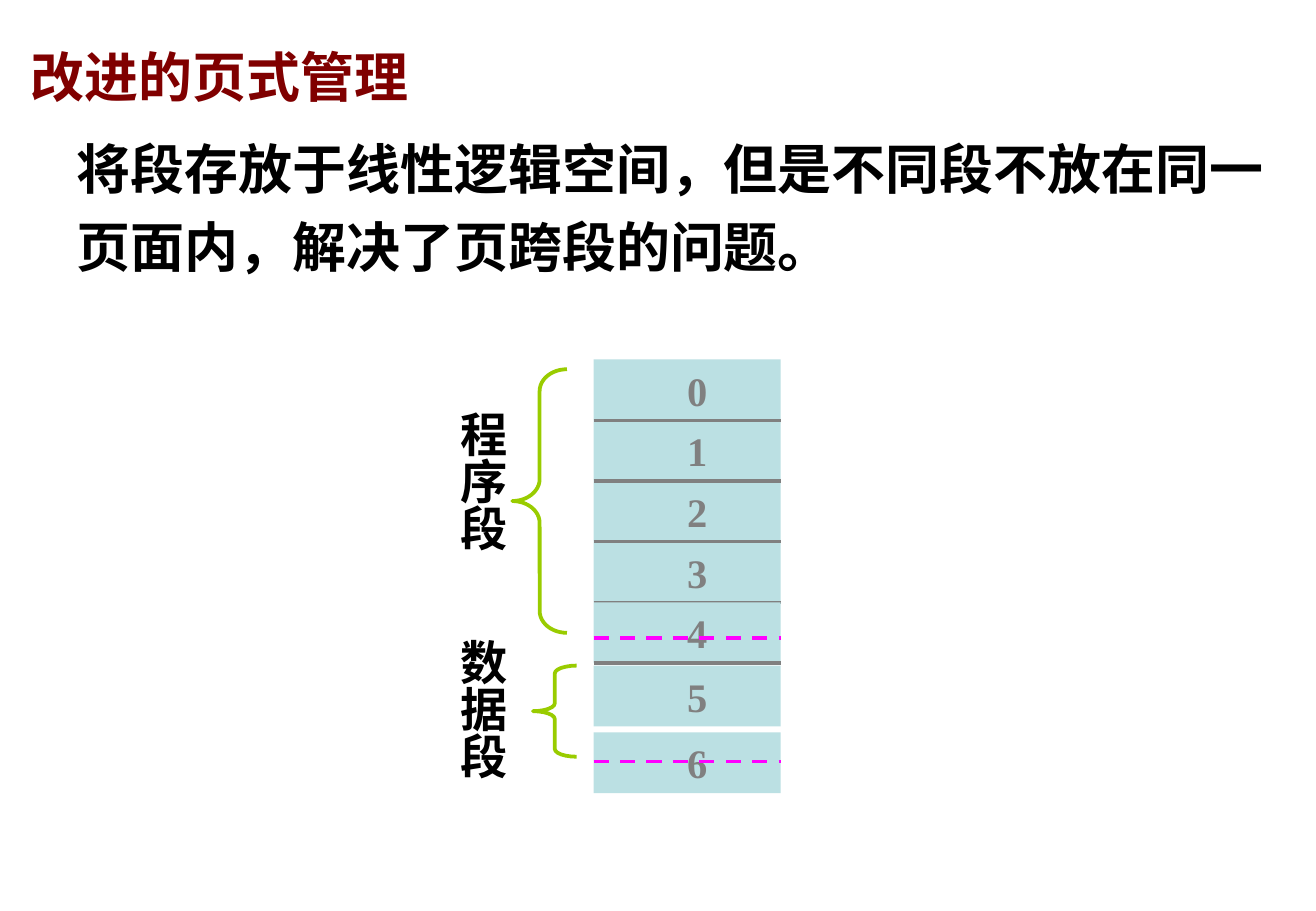
"""Build a slide on improved paging: segments kept on separate pages."""
import pptx
import pptx.util
import pptx.dml.color
import pptx.enum.dml
import pptx.enum.shapes
import pptx.enum.text
from lxml import etree
from pptx.oxml.ns import qn

Inches = pptx.util.Inches
Pt = pptx.util.Pt
RGBColor = pptx.dml.color.RGBColor
MSO_SHAPE = pptx.enum.shapes.MSO_SHAPE
MSO_ANCHOR = pptx.enum.text.MSO_ANCHOR

MAROON = RGBColor(0x80, 0x00, 0x00)
BLACK = RGBColor(0x00, 0x00, 0x00)
GRAY = RGBColor(0x80, 0x80, 0x80)
PALE_TEAL = RGBColor(0xBB, 0xE0, 0xE3)
MAGENTA = RGBColor(0xFF, 0x00, 0xFF)
GREEN = RGBColor(0x99, 0xCC, 0x00)
CHINESE_FONT = "Noto Sans CJK SC"
LATIN_FONT = "Times New Roman"

PAGE_LEFT, PAGE_TOP = 4.89, 2.96
PAGE_WIDTH, PAGE_HEIGHT = 1.54, 0.5
PAGE_TOPS = [PAGE_TOP + row * PAGE_HEIGHT for row in range(5)] + [5.48, 6.03]

presentation = pptx.Presentation()
presentation.slide_width = Inches(10.84)
presentation.slide_height = Inches(7.5)
slide = presentation.slides.add_slide(presentation.slide_layouts[5])
shapes = slide.shapes


def write_text(shape, text, size, color, font_name):
    """Fill a shape with one bold, left-aligned paragraph and return it."""
    frame = shape.text_frame
    frame.text = text
    frame.auto_size = pptx.enum.text.MSO_AUTO_SIZE.NONE
    paragraph = frame.paragraphs[0]
    paragraph.alignment = pptx.enum.text.PP_ALIGN.LEFT
    paragraph.font.size = Pt(size)
    paragraph.font.bold = True
    paragraph.font.color.rgb = color
    paragraph.font.name = font_name
    east_asian = etree.SubElement(paragraph.font._element, qn("a:ea"))
    east_asian.set("typeface", CHINESE_FONT)
    return paragraph


def add_line(top, color, width, dash=None):
    """Draw a horizontal line across the column of pages."""
    line = shapes.add_connector(
        pptx.enum.shapes.MSO_CONNECTOR.STRAIGHT,
        Inches(PAGE_LEFT), Inches(top), Inches(PAGE_LEFT + PAGE_WIDTH), Inches(top))
    line.line.color.rgb = color
    line.line.width = Pt(width)
    line.line.dash_style = dash
    etree.SubElement(line._element.spPr, qn("a:effectLst"))


title = shapes.title
body = shapes.add_textbox(0, 0, 0, 0)
for shape, left, top, height, color, text in [
    (title, 0.15, 0.25, 0.7, MAROON, "改进的页式管理"),
    (body, 0.53, 1, 1.4, BLACK,
     "将段存放于线性逻辑空间，但是不同段不放在同一页面内，解决了页跨段的问题。"),
]:
    shape.left, shape.top = Inches(left), Inches(top)
    shape.width, shape.height = Inches(10.61 - left), Inches(height)
    paragraph = write_text(shape, text, 32, color, CHINESE_FONT)
    paragraph.line_spacing = Pt(46.5)
    frame = shape.text_frame
    frame.word_wrap = True
    frame.vertical_anchor = MSO_ANCHOR.TOP
    frame.margin_top = frame.margin_bottom = 0

for number, top in enumerate(PAGE_TOPS):
    if number == 4:
        add_line(top, GRAY, 2)
    page = shapes.add_shape(MSO_SHAPE.RECTANGLE, Inches(PAGE_LEFT), Inches(top),
                            Inches(PAGE_WIDTH), Inches(PAGE_HEIGHT))
    page.shadow.inherit = False
    page.fill.solid()
    page.fill.fore_color.rgb = PALE_TEAL
    page.line.fill.background()
    write_text(page, str(number), 24, GRAY, LATIN_FONT)
    page.text_frame.margin_left = Inches(0.77)
    page.text_frame.vertical_anchor = MSO_ANCHOR.MIDDLE
    if number in (1, 2, 3):
        add_line(top, GRAY, 2)
add_line(PAGE_TOP + 5 * PAGE_HEIGHT, GRAY, 2)

for segment_end in (5.25, 6.27):
    add_line(segment_end, MAGENTA, 2.25, pptx.enum.dml.MSO_LINE.DASH)

for left, top, width, height, curve in [
    (4.22, 3.04, 0.45, 2.17, 0.4),
    (4.39, 5.48, 0.36, 0.75, 0.18),
]:
    brace = shapes.add_shape(MSO_SHAPE.LEFT_BRACE, Inches(left), Inches(top),
                             Inches(width), Inches(height))
    brace.shadow.inherit = False
    brace.fill.background()
    brace.line.color.rgb = GREEN
    brace.line.width = Pt(2.25)
    brace.adjustments[0] = curve

for top, segment in [(3.28, "程序段"), (5.16, "数据段")]:
    label = shapes.add_textbox(Inches(3.6), Inches(top), Inches(0.66), Inches(1.27))
    write_text(label, segment, 28, BLACK, LATIN_FONT)
    frame = label.text_frame
    frame.word_wrap = False
    frame.margin_left = frame.margin_right = Inches(0.05)
    frame.margin_top = frame.margin_bottom = Inches(0.1)
    frame._txBody.bodyPr.set("vert", "eaVert")

presentation.save("out.pptx")
